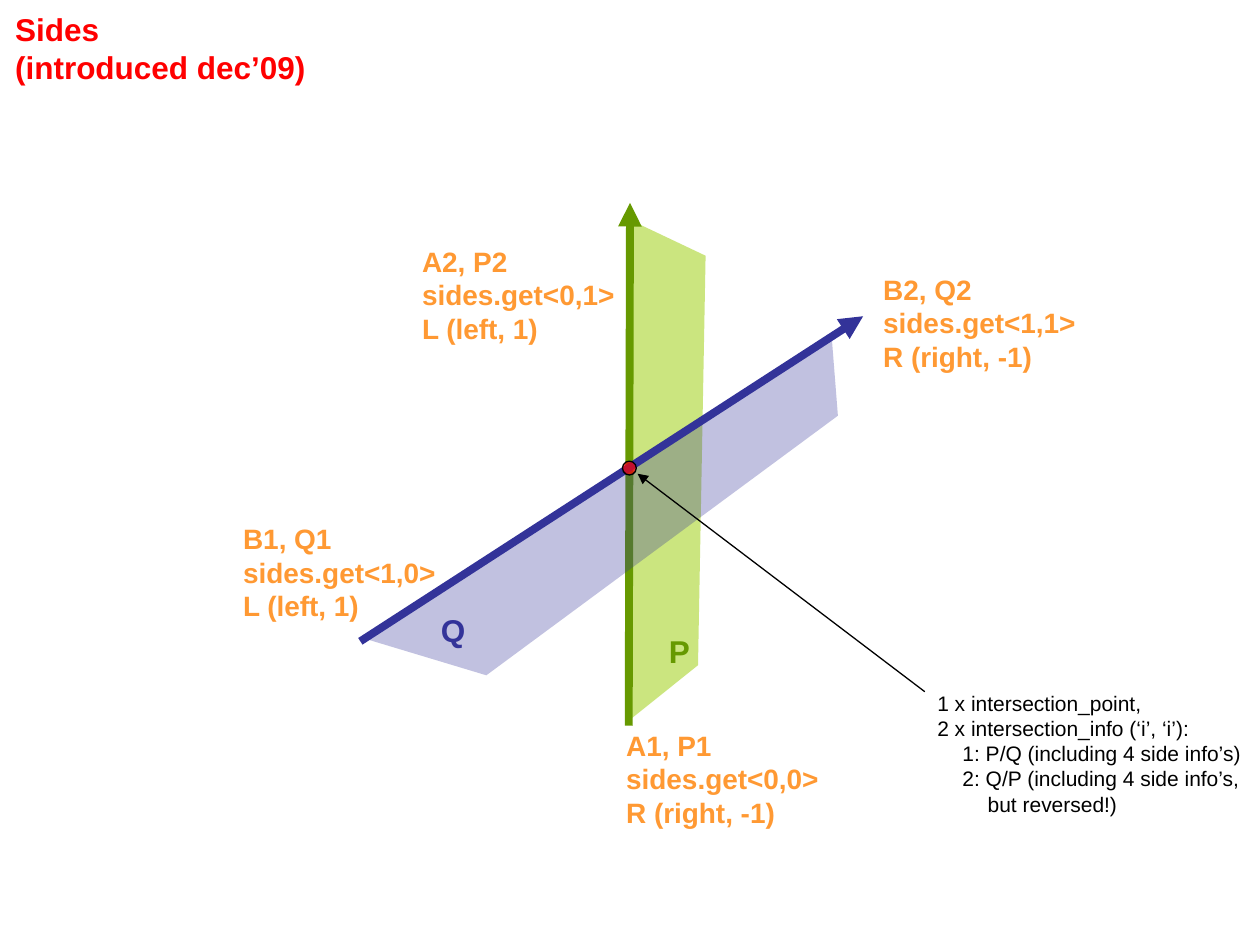
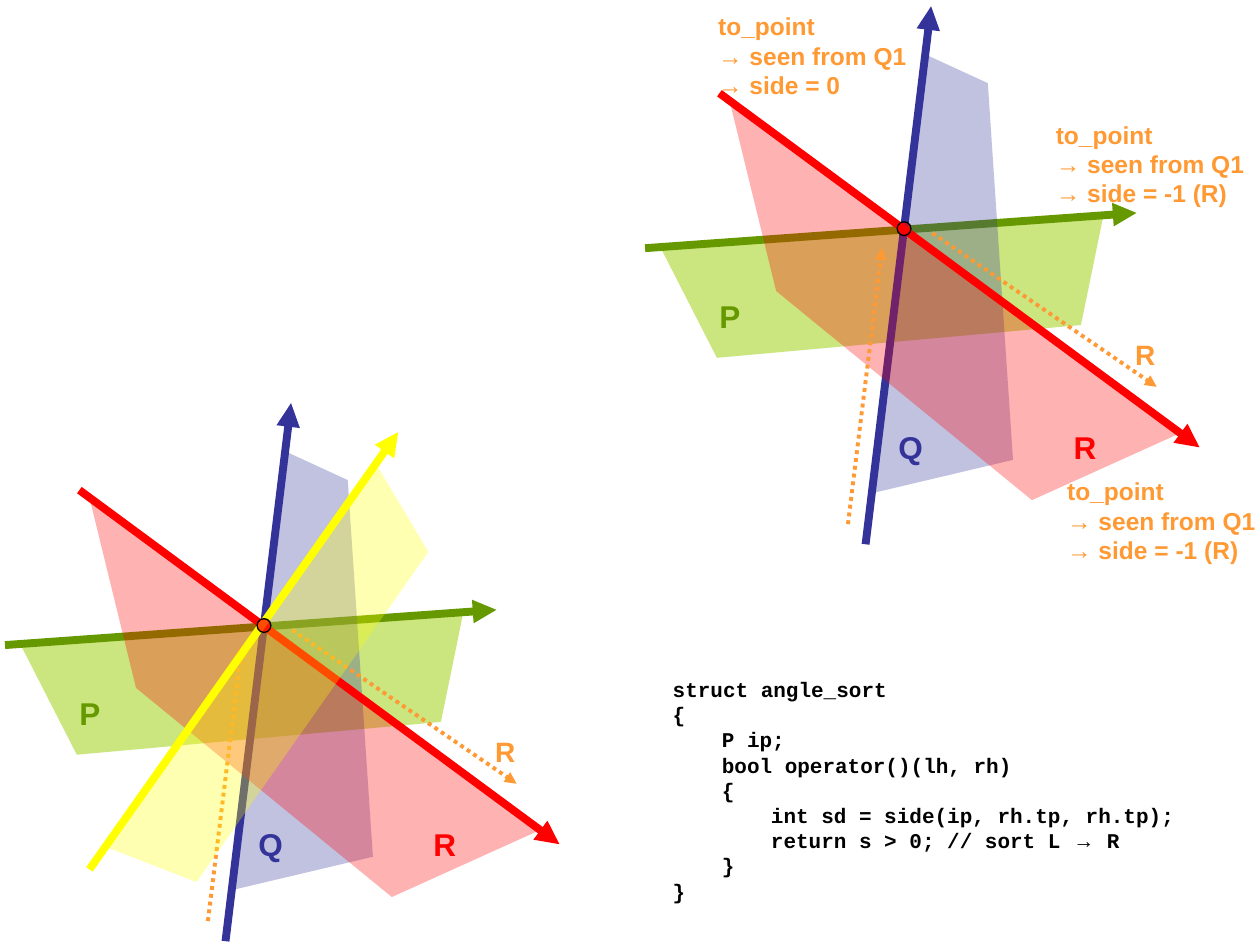
import pptx
import pptx.dml.color
import pptx.enum.dml
import pptx.enum.shapes
import pptx.enum.text
import pptx.oxml.ns
import pptx.oxml.xmlchemy
import pptx.util
from collections import namedtuple

COLUMNS, ROWS = 100, 75
CELL = pptx.util.Inches(10) // COLUMNS
RED, ORANGE, BLACK = "FF0000", "FF9933", "000000"
TITLE_ONLY, BLANK = 5, 6

Side = namedtuple("Side", "line fill opacity plane_first")
SIDES = {
    "P": Side("669900", "99CC00", 50, True),
    "Q": Side("333399", "333399", 30, False),
    "R": Side(RED, RED, 30, False),
    "Y": Side("FFFF00", "FFFF00", 30, False),
}
LETTER_WIDTH = {"P": 1.7, "Q": 2, "R": 1.8}

ENDPOINT_LABELS = [
    (33.5, 19.4, "A2, P2", "0,1", "L (left, 1)"),
    (49.7, 57.8, "A1, P1", "0,0", "R (right, -1)"),
    (19.3, 41.4, "B1, Q1", "1,0", "L (left, 1)"),
    (70.1, 21.6, "B2, Q2", "1,1", "R (right, -1)"),
]
TO_POINT_LABELS = [
    (57, 0.9, "0"),
    (83.8, 9.5, "-1 (R)"),
    (84.7, 37.8, "-1 (R)"),
]
INTERSECTION_NOTE = [
    (0, "1 x intersection_point,"),
    (0, "2 x intersection_info (‘i’, ‘i’):"),
    (1, "1: P/Q (including 4 side info’s)"),
    (1, "2: Q/P (including 4 side info’s,"),
    (2, "but reversed!)"),
]
ANGLE_SORT = [
    (0, "struct angle_sort"),
    (0, "{"),
    (1, "P ip;"),
    (1, "bool operator()(lh, rh)"),
    (1, "{"),
    (2, "int sd = side(ip, rh.tp, rh.tp);"),
    (2, "return s > 0; // sort L → R"),
    (1, "}"),
    (0, "}"),
]
CROSSING = [
    ("P", (49.9, 57.6), (50, 16.1),
     [(49.9, 57.2), (55.4, 52.8), (56, 20.3), (50.1, 17.5)], (53.1, 50.2)),
    ("Q", (28.6, 50.9), (68.5, 25.1),
     [(29.3, 50.8), (66, 26.6), (66.5, 33), (38.6, 53.6)], (35, 48.5)),
]
FAN = [
    ("P", (51.2, 19.7), (90.2, 16.9),
     [(52.3, 19.4), (56.9, 28.4), (85.8, 25.8), (87.6, 17)], (57.1, 23.6)),
    ("Q", (68.7, 43.2), (73.9, 0.5),
     [(69.4, 39.1), (73.4, 4.3), (78.4, 6.6), (80.4, 36.5)], (71.3, 34)),
    ("R", (57.1, 7.4), (95.2, 35.5),
     [(57.9, 8), (93.4, 34.5), (81.9, 39.7), (61.6, 23.1)], (85.2, 34)),
]
YELLOW = ("Y", (7.1, 69), (31.6, 34.3),
          [(8.6, 67.3), (29.9, 36.9), (34, 43.8), (15.6, 70)], None)
FAN_COPY_SHIFT = (-50.8, 31.5)


def rgb(color):
    return pptx.dml.color.RGBColor.from_string(color)


def grid(*lengths):
    return [round(length * CELL) for length in lengths]


def moved(point, shift):
    return point[0] + shift[0], point[1] + shift[1]


def fill_clear(sp, color, opacity):
    sp.shadow.inherit = False
    sp.fill.solid()
    sp.fill.fore_color.rgb = rgb(color)
    tone = sp._element.spPr.find(".//" + pptx.oxml.ns.qn("a:srgbClr"))
    alpha = pptx.oxml.xmlchemy.OxmlElement("a:alpha")
    alpha.set("val", str(opacity * 1000))
    tone.append(alpha)


def add_arrow(s, start, end, color, width, dotted=False):
    line = s.shapes.add_connector(
        pptx.enum.shapes.MSO_CONNECTOR.STRAIGHT, *grid(*start, *end))
    line.line.color.rgb = rgb(color)
    line.line.width = pptx.util.Pt(width)
    if dotted:
        line.line.dash_style = pptx.enum.dml.MSO_LINE.ROUND_DOT
    tail = pptx.oxml.xmlchemy.OxmlElement("a:tailEnd")
    tail.set("type", "triangle")
    properties = line._element.spPr
    properties.find(pptx.oxml.ns.qn("a:ln")).append(tail)
    properties.append(pptx.oxml.xmlchemy.OxmlElement("a:effectLst"))


def add_plane(s, corners, color, opacity):
    points = [tuple(grid(*corner)) for corner in corners]
    builder = s.shapes.build_freeform(*points[0], scale=1.0)
    builder.add_line_segments(points[1:], close=True)
    sp = builder.convert_to_shape()
    fill_clear(sp, color, opacity)
    sp.line.fill.background()


def write(tf, lines, size, color, bold=True, font="Arial", step=0):
    tf.vertical_anchor = pptx.enum.text.MSO_ANCHOR.TOP
    for i, (level, text) in enumerate(lines):
        p = tf.add_paragraph() if i else tf.paragraphs[0]
        p.alignment = pptx.enum.text.PP_ALIGN.LEFT
        p.font.name, p.font.bold = font, bold
        p.font.size = pptx.util.Pt(size)
        p.font.color.rgb = rgb(color)
        if level:
            p._p.get_or_add_pPr().set("marL", str(grid(level * step)[0]))
        for part in filter(None, text.partition("→")):
            r = p.add_run()
            r.text = part
            if part == "→":
                r.font.name = "Arial"


def set_frame(tf, wrap=False, inset=(0, 0)):
    tf.word_wrap = wrap
    tf.margin_left = tf.margin_right = grid(inset[0])[0]
    tf.margin_top = tf.margin_bottom = grid(inset[1])[0]


def add_text(s, box, lines, size, color, wrap=False, inset=(0, 0), **style):
    tf = s.shapes.add_textbox(*grid(*box)).text_frame
    set_frame(tf, wrap, inset)
    tf.auto_size = pptx.enum.text.MSO_AUTO_SIZE.SHAPE_TO_FIT_TEXT
    write(tf, lines, size, color, **style)


def add_label(s, box, texts, size, color):
    add_text(s, box, [(0, text) for text in texts], size, color)


def set_title(s, box, texts):
    title = s.shapes.title
    title.left, title.top, title.width, title.height = grid(*box)
    set_frame(title.text_frame, wrap=True)
    title.text_frame.auto_size = pptx.enum.text.MSO_AUTO_SIZE.NONE
    write(title.text_frame, [(0, text) for text in texts], 18, RED)


def add_side(s, name, start, end, corners, label_at, shift=(0, 0)):
    side = SIDES[name]
    start, end = moved(start, shift), moved(end, shift)
    if not side.plane_first:
        add_arrow(s, start, end, side.line, 4.5)
    add_plane(s, [moved(c, shift) for c in corners], side.fill, side.opacity)
    if label_at:
        box = (*moved(label_at, shift), LETTER_WIDTH[name], 3)
        add_label(s, box, [name], 18, side.line)
    if side.plane_first:
        add_arrow(s, start, end, side.line, 4.5)


def add_intersection(s, center, diameter=1.1):
    corner = moved(center, (-diameter / 2, -diameter / 2))
    sp = s.shapes.add_shape(pptx.enum.shapes.MSO_SHAPE.OVAL,
                            *grid(*corner, diameter, diameter))
    fill_clear(sp, RED, 70)
    sp.line.color.rgb = rgb(BLACK)
    sp.line.width = pptx.util.Pt(0.75)


def add_fan(s, shift=(0, 0)):
    for side in FAN:
        add_side(s, *side, shift=shift)
    for start, end in [((67.3, 41.6), (70, 19.7)), ((74, 18.5), (91.8, 30.7))]:
        add_arrow(s, moved(start, shift), moved(end, shift), ORANGE, 2.25, True)
    add_label(s, (*moved((90.1, 26.8), shift), 1.6, 2.7), ["R"], 16, ORANGE)


def build_sides(prs):
    s = prs.slides.add_slide(prs.slide_layouts[TITLE_ONLY])
    set_title(s, (1.2, 0.8, 30, 6), ["Sides", "(introduced dec’09)"])
    for side in CROSSING:
        add_side(s, *side)
    for x, y, points, index, turn in ENDPOINT_LABELS:
        add_label(s, (x, y, 15.3, 8),
                  [points, f"sides.get<{index}>", turn], 16, ORANGE)
    add_intersection(s, (49.95, 37.15))
    add_arrow(s, (73.4, 54.9), (50.6, 37.6), BLACK, 0.75)
    add_text(s, (73.4, 54.3, 26.1, 11), INTERSECTION_NOTE, 12, BLACK,
             inset=(1, 0.5), bold=False, step=2)


def build_angle_sort(prs):
    s = prs.slides.add_slide(prs.slide_layouts[BLANK])
    add_fan(s)
    for x, y, side in TO_POINT_LABELS:
        add_label(s, (x, y, 15, 7),
                  ["to_point", "→ seen from Q1", f"→ side = {side}"], 14, ORANGE)
    center = (71.75, 18.15)
    add_intersection(s, center)
    add_text(s, (52.4, 53.2, 46.1, 19), ANGLE_SORT, 12, BLACK, wrap=True,
             inset=(1, 0.5), font="Courier New", step=3.9)
    add_fan(s, FAN_COPY_SHIFT)
    add_side(s, *YELLOW)
    add_intersection(s, moved(center, FAN_COPY_SHIFT))


def main():
    prs = pptx.Presentation()
    prs.slide_width, prs.slide_height = grid(COLUMNS, ROWS)
    build_sides(prs)
    build_angle_sort(prs)
    prs.save("out.pptx")


if __name__ == "__main__":
    main()
